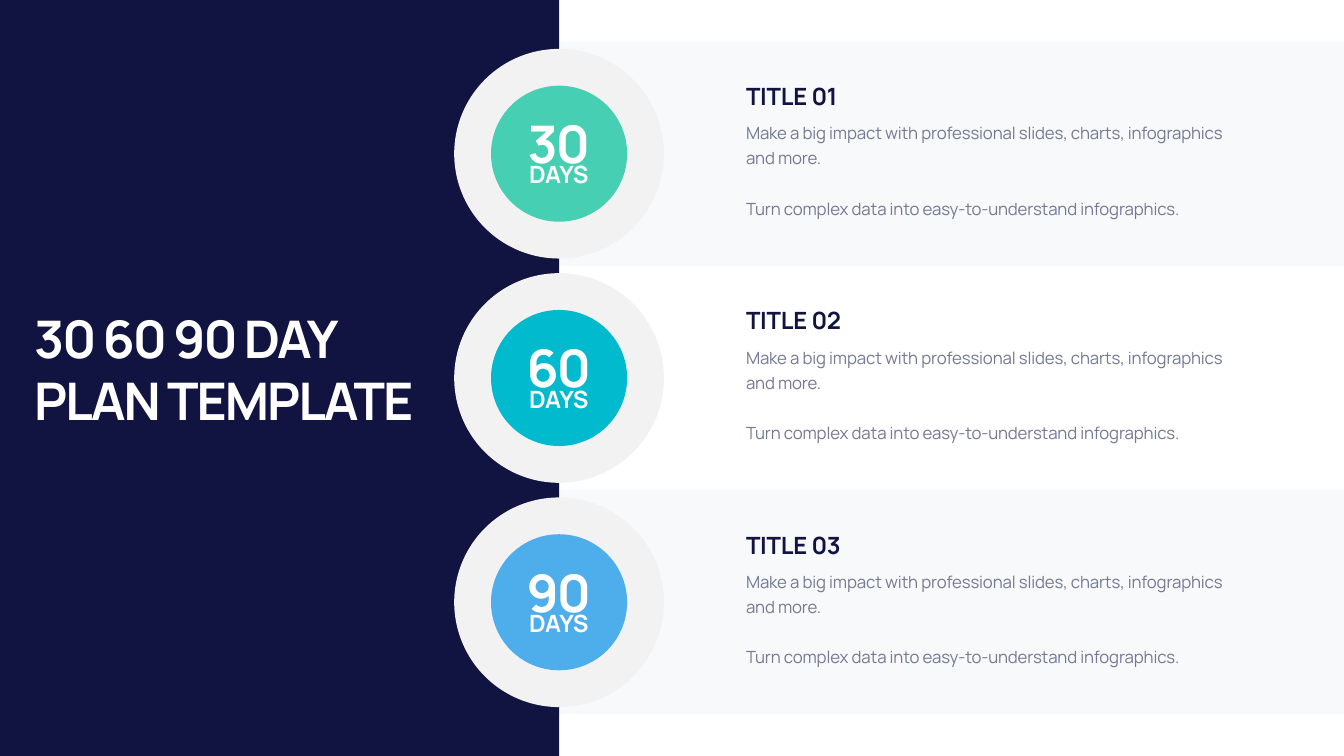
"""Build a 30-60-90 day plan slide with three milestone rows."""
from dataclasses import dataclass

from lxml.etree import SubElement
from pptx import Presentation
from pptx.dml.color import RGBColor
from pptx.enum.shapes import MSO_SHAPE as Shape
from pptx.enum.text import MSO_ANCHOR as Anchor, MSO_AUTO_SIZE as AutoSize, PP_ALIGN as Align
from pptx.oxml.ns import qn
from pptx.util import Inches, Pt

HEADLINE = "30 60 90 DAY PLAN TEMPLATE"
DETAILS = [
    "Make a big impact with professional slides, charts, infographics and more.",
    "Turn complex data into easy-to-understand infographics.",
]
MILESTONES = [
    ("30", "TITLE 01", "46CFB2"),
    ("60", "TITLE 02", "01BACD"),
    ("90", "TITLE 03", "4EADEB"),
]


@dataclass(frozen=True)
class Theme:
    font: str = "Manrope"
    navy: str = "111340"
    white: str = "FFFFFF"
    ring: str = "F2F2F2"
    band: str = "C3C8CE"
    grey: str = "747994"
    display: int = 74
    heading: int = 34
    body: int = 24
    leading: int = 36


THEME = Theme()
WIDTH, HEIGHT = 26.66, 15
AXIS = 11.09
ROW = 4.45
TOP = (HEIGHT - ROW * len(MILESTONES)) / 2
RING, DISC = 4.16, 2.7
LABEL_LEFT, LABEL_WIDTH = 9.92, 2.33
TEXT_LEFT, TEXT_WIDTH = 14.7, 9.71
BAND_LEFT = AXIS - RING / 2

deck = Presentation()
deck.slide_width, deck.slide_height = Inches(WIDTH), Inches(HEIGHT)
page = deck.slides.add_slide(deck.slide_layouts[6])


def add_block(kind, left, top, width, height, color, opacity=None):
    block = page.shapes.add_shape(kind, *map(Inches, (left, top, width, height)))
    block.shadow.inherit = False
    block.fill.solid()
    block.fill.fore_color.rgb = RGBColor.from_string(color)
    block.line.fill.background()
    if opacity is not None:
        tint = block.element.spPr.find(qn("a:solidFill"))[0]
        SubElement(tint, qn("a:alpha"), val=str(opacity * 1000))


def add_circle(middle, size, color):
    add_block(Shape.OVAL, AXIS - size / 2, middle - size / 2, size, size, color)


def add_text(lines, left, top, width, height, *, size, color, bold=True,
             tracking=-0.3, align=Align.LEFT, anchor=Anchor.TOP, leading=None, gap=0):
    box = page.shapes.add_textbox(*map(Inches, (left, top, width, height)))
    frame = box.text_frame
    frame.word_wrap = True
    frame.auto_size = AutoSize.SHAPE_TO_FIT_TEXT
    frame.vertical_anchor = anchor
    for index, line in enumerate(lines):
        para = frame.add_paragraph() if index else frame.paragraphs[0]
        para.alignment = align
        if leading:
            para.line_spacing = Pt(leading)
        if index:
            para.space_before = Pt(gap)
        span = para.add_run()
        span.text = line
        span.font.name = THEME.font
        span.font.size = Pt(size)
        span.font.bold = bold
        span.font.color.rgb = RGBColor.from_string(color)
        span.font._element.set("spc", str(round(tracking * 100)))


middles = [TOP + ROW * (index + 0.5) for index in range(len(MILESTONES))]

for middle in middles[::2]:
    add_block(Shape.RECTANGLE, BAND_LEFT, middle - ROW / 2,
              WIDTH - BAND_LEFT, ROW, THEME.band, opacity=10)
add_block(Shape.RECTANGLE, 0, 0, AXIS, HEIGHT, THEME.navy)
add_text([HEADLINE], 0.58, 6.02, 7.75, 2.59, size=THEME.display,
         color=THEME.white, tracking=-2.9, anchor=Anchor.MIDDLE)

for middle, (days, title, color) in zip(middles, MILESTONES):
    add_circle(middle, RING, THEME.ring)
    add_circle(middle, DISC, color)
    add_text(["DAYS"], LABEL_LEFT, middle + 0.08, LABEL_WIDTH, 0.67,
             size=THEME.heading, color=THEME.white, align=Align.CENTER)
    add_text([days], LABEL_LEFT, middle - 0.9, LABEL_WIDTH, 1.35, size=THEME.display,
             color=THEME.white, tracking=-2.9, align=Align.CENTER, anchor=Anchor.BOTTOM)
    add_text([title], TEXT_LEFT, middle - 1.48, TEXT_WIDTH, 0.67,
             size=THEME.heading, color=THEME.navy, anchor=Anchor.BOTTOM)
    add_text(DETAILS, TEXT_LEFT, middle - 0.76, TEXT_WIDTH, 2.1, size=THEME.body,
             color=THEME.grey, bold=False, tracking=-0.2,
             leading=THEME.leading, gap=THEME.leading)

deck.save("out.pptx")
